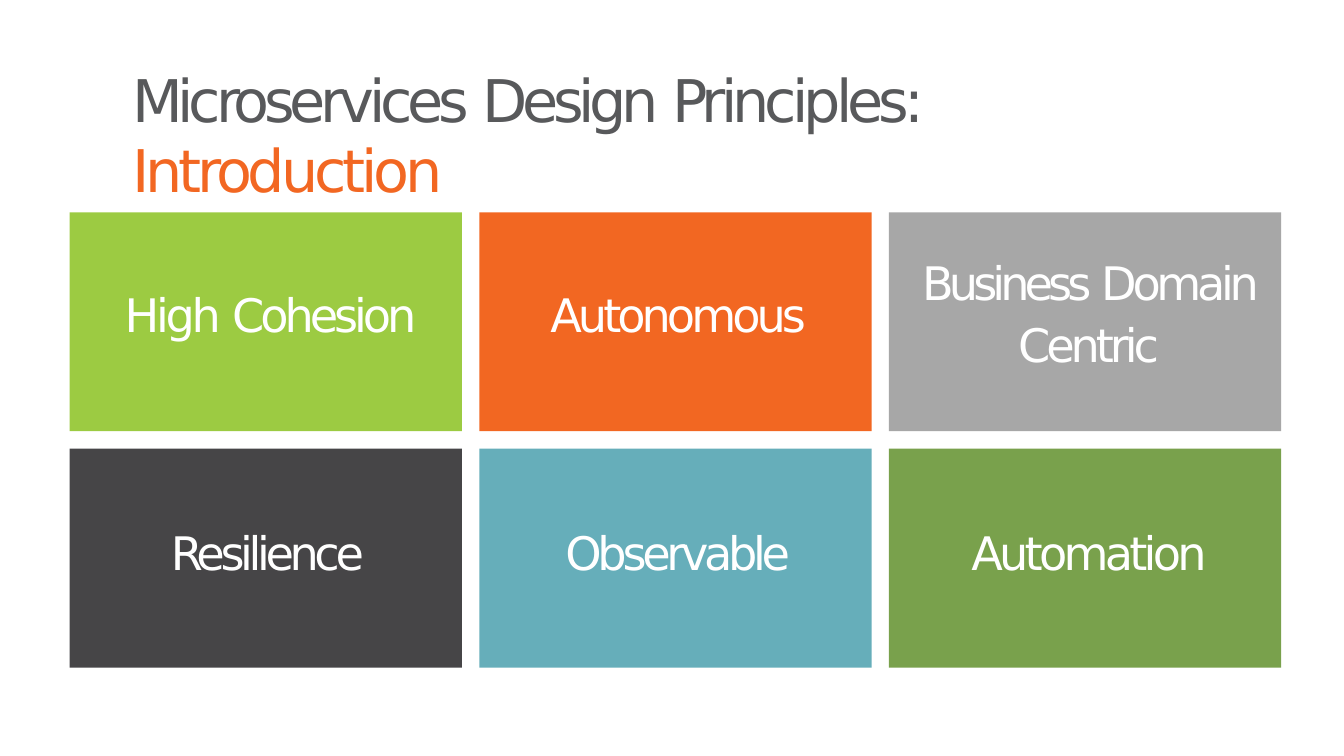
from pptx import Presentation
from pptx.dml.color import RGBColor
from pptx.enum.shapes import MSO_SHAPE
from pptx.enum.text import MSO_ANCHOR, MSO_AUTO_SIZE, PP_ALIGN
from pptx.util import Inches, Pt

FONT = "DejaVu Sans"
WHITE = RGBColor(0xFF, 0xFF, 0xFF)
CHARCOAL = RGBColor(0x58, 0x59, 0x5B)
LIME = RGBColor(0x9C, 0xCB, 0x42)
ORANGE = RGBColor(0xF2, 0x67, 0x22)
GREY = RGBColor(0xA7, 0xA7, 0xA7)
SLATE = RGBColor(0x46, 0x45, 0x47)
TEAL = RGBColor(0x66, 0xAE, 0xBA)
GREEN = RGBColor(0x79, 0xA1, 0x4C)

# Fill, words with letter spacing in points, left margin, first-line indent, top inset
PRINCIPLES = [
    (LIME, [("High ", -3.2), ("Cohesion", -3.9)], 0.73, 0, 0.98),
    (ORANGE, [("Autonomous", -3.8)], 0.94, 0, 0.98),
    (GREY, [("Business ", -4.7), ("Domain ", -4.1), ("Centric", -3.9)], 1.71, -1.27, 0.47),
    (SLATE, [("Resilience", -4.2)], 1.34, 0, 1),
    (TEAL, [("Observable", -4.1)], 1.14, 0, 1),
    (GREEN, [("Automation", -3.6)], 1.09, 0, 1),
]
COLUMNS = 3


def prepare_frame(frame, top_inset):
    frame.word_wrap = True
    frame.vertical_anchor = MSO_ANCHOR.TOP
    frame.margin_left = frame.margin_right = frame.margin_bottom = 0
    frame.margin_top = Inches(top_inset)
    frame.paragraphs[0].alignment = PP_ALIGN.LEFT


def add_word(paragraph, text, size, color, spacing):
    run = paragraph.add_run()
    run.text = text
    run.font.name = FONT
    run.font.size = Pt(size)
    run.font.color.rgb = color
    run.font._element.set("spc", str(round(spacing * 100)))


def place_title(slide, left, top, width, height):
    title = slide.shapes.title
    title.left, title.top = Inches(left), Inches(top)
    title.width, title.height = Inches(width), Inches(height)
    frame = title.text_frame
    prepare_frame(frame, 0.01)
    frame.auto_size = MSO_AUTO_SIZE.SHAPE_TO_FIT_TEXT
    for text, color, spacing in [
        ("Microservices ", CHARCOAL, -5),
        ("Design ", CHARCOAL, -5.1),
        ("Principles: ", CHARCOAL, -4.7),
        ("Introduction", ORANGE, -4),
    ]:
        add_word(frame.paragraphs[0], text, 56, color, spacing)


def add_tile(slide, left, top, width, height, principle):
    fill, words, margin, indent, top_inset = principle
    tile = slide.shapes.add_shape(
        MSO_SHAPE.RECTANGLE, Inches(left), Inches(top), Inches(width), Inches(height))
    tile.shadow.inherit = False
    tile.fill.solid()
    tile.fill.fore_color.rgb = fill
    tile.line.fill.background()
    prepare_frame(tile.text_frame, top_inset)
    label = tile.text_frame.paragraphs[0]
    properties = label._p.get_or_add_pPr()
    properties.set("marL", str(Inches(margin)))
    properties.set("indent", str(Inches(indent)))
    if indent:  # the label that runs over several lines
        label.line_spacing = 1.12
    for text, spacing in words:
        add_word(label, text, 44, WHITE, spacing)


def add_principles(slide, left, top, width, height, gap=0.23):
    tile_width = (width - gap * (COLUMNS - 1)) / COLUMNS
    tile_height = (height - gap) / 2
    for index, principle in enumerate(PRINCIPLES):
        row, column = divmod(index, COLUMNS)
        add_tile(slide, left + column * (tile_width + gap),
                 top + row * (tile_height + gap), tile_width, tile_height, principle)


def main():
    deck = Presentation()
    deck.slide_width, deck.slide_height = Inches(17.78), Inches(10)
    slide = deck.slides.add_slide(deck.slide_layouts[5])
    place_title(slide, 1.75, 0.83, 14.56, 0.96)
    add_principles(slide, 0.92, 2.81, 16.03, 6.02)
    deck.save("out.pptx")


if __name__ == "__main__":
    main()
